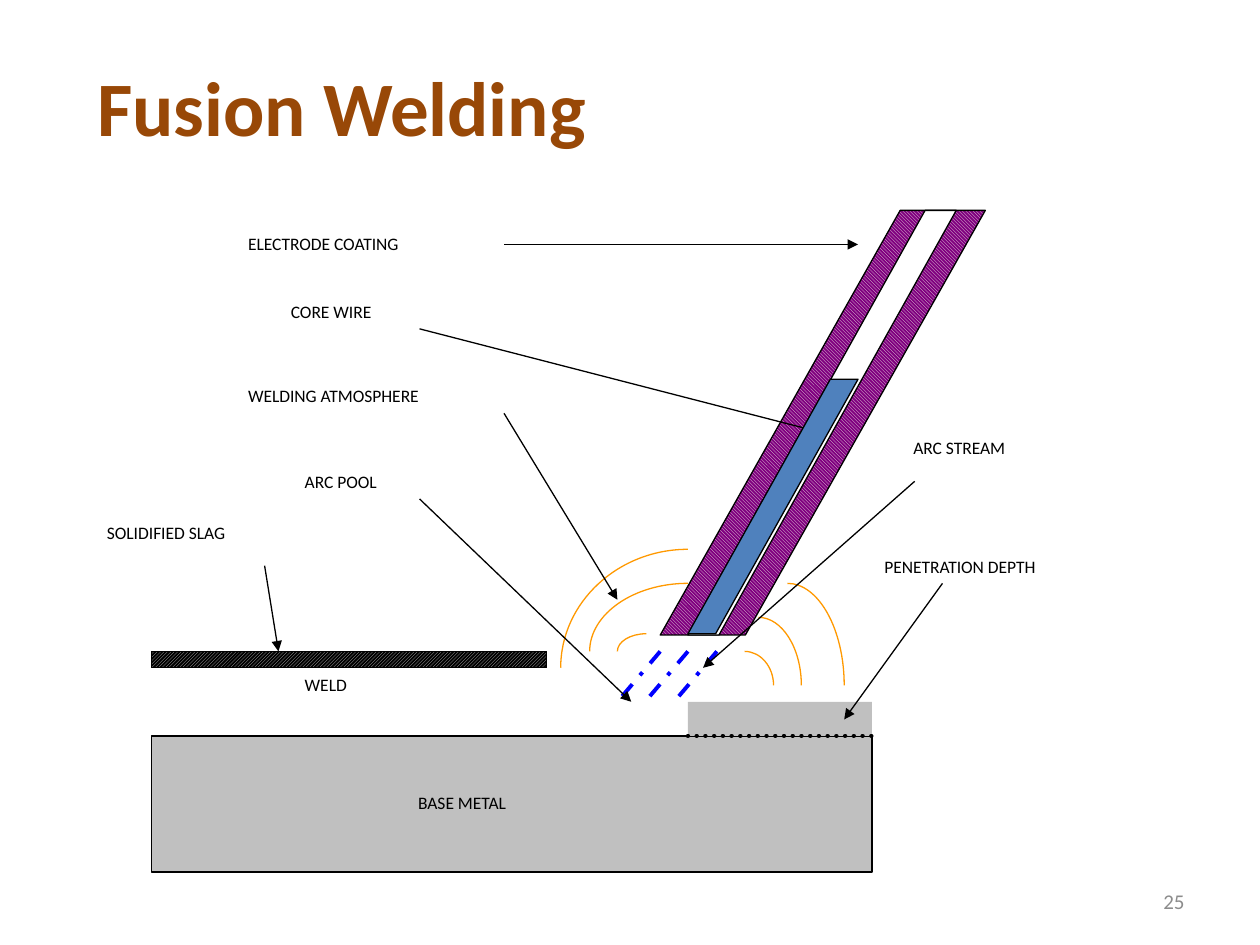
from lxml import etree
from pptx import Presentation
from pptx.dml.color import RGBColor
from pptx.enum.dml import MSO_LINE, MSO_PATTERN
from pptx.enum.shapes import MSO_CONNECTOR, MSO_SHAPE
from pptx.enum.text import MSO_ANCHOR, PP_ALIGN
from pptx.oxml.ns import qn
from pptx.util import Inches, Pt

RECT, SLANT = MSO_SHAPE.RECTANGLE, MSO_SHAPE.PARALLELOGRAM
DOWN, UP = MSO_PATTERN.DARK_DOWNWARD_DIAGONAL, MSO_PATTERN.DARK_UPWARD_DIAGONAL
DOTS, DASH_DOT = MSO_LINE.ROUND_DOT, MSO_LINE.DASH_DOT
STRAIGHT = MSO_CONNECTOR.STRAIGHT
TOP, MIDDLE = MSO_ANCHOR.TOP, MSO_ANCHOR.MIDDLE
LEFT, RIGHT = PP_ALIGN.LEFT, PP_ALIGN.RIGHT
ROUNDNESS = 0.55  # Bezier handle length for a quarter ellipse

THEME = dict(
    font="Calibri", title="984807", number="8C8C8C", ink="000000",
    metal="C0C0C0", bore="FFFFFF", core="4F81BD", coating="800080",
    hatch="EEECE1", gas="FF9900", arc="0000FF",
    title_size=44, number_size=12, label_size=10, thin=0.75,
)

# Content: labels as text, left, top, width, height
TITLE = "Fusion Welding"
LABELS = [
    ("BASE METAL", 3.22, 6.24, 3.25, 0.43),
    ("WELD", 2.32, 5.3, 2.02, 0.43),
    ("SOLIDIFIED SLAG", 0.75, 4.09, 2.02, 0.43),
    ("ARC POOL", 2.32, 3.69, 1.46, 0.43),
    ("WELDING ATMOSPHERE", 1.87, 3.01, 2.69, 0.43),
    ("CORE WIRE", 2.21, 2.34, 1.91, 0.43),
    ("ELECTRODE COATING", 1.87, 1.8, 2.81, 0.43),
    ("ARC STREAM", 7.15, 3.42, 2.02, 0.43),
    ("PENETRATION DEPTH", 6.92, 4.36, 2.13, 0.7),
]
# Pointers as x1, y1, x2, y2
POINTERS = [
    (4, 1.94, 6.81, 1.94), (3.33, 2.61, 6.47, 3.42), (4, 3.28, 4.9, 4.76),
    (3.33, 3.96, 5.01, 5.57), (2.1, 4.49, 2.21, 5.17),
    (7.48, 4.63, 6.7, 5.71), (7.26, 3.82, 5.58, 5.3),
]
# Gas arcs from crown to foot as x1, y1, x2, y2
GAS_ARCS = [
    (5.46, 4.36, 4.45, 5.3), (5.46, 4.63, 4.68, 5.17), (5.13, 5.03, 4.9, 5.17),
    (5.91, 5.17, 6.14, 5.44), (6.02, 4.9, 6.36, 5.44), (6.25, 4.63, 6.7, 5.44),
]
STREAM_LEFTS = [5.69, 5.46, 5.24]


def color(name):
    return RGBColor.from_string(THEME[name])


def set_line(line, name="ink", width=THEME["thin"], dash=None):
    line.color.rgb = color(name)
    line.width = Pt(width)
    if dash:
        line.dash_style = dash


def write(sp, text, size="label_size", ink="ink", bold=False, align=LEFT, anchor=TOP):
    tf = sp.text_frame
    tf.word_wrap = True
    tf.vertical_anchor = anchor
    p = tf.paragraphs[0]
    p.alignment = align
    r = p.add_run()
    r.text = text
    r.font.name, r.font.size, r.font.bold = THEME["font"], Pt(THEME[size]), bold
    r.font.color.rgb = color(ink)


def place(sp, *box):
    sp.left, sp.top, sp.width, sp.height = map(Inches, box)


def add_text(s, text, box, **fmt):
    write(s.shapes.add_textbox(*map(Inches, box)), text, **fmt)


def add_part(s, kind, box, fill, pattern=None, back=None, slant=None, outlined=True):
    sp = s.shapes.add_shape(kind, *map(Inches, box))
    sp.shadow.inherit = False
    if slant:
        sp.adjustments[0] = slant
    if pattern:
        sp.fill.patterned()
        sp.fill.pattern = pattern
        sp.fill.back_color.rgb = color(back)
    else:
        sp.fill.solid()
    sp.fill.fore_color.rgb = color(fill)
    if outlined:
        set_line(sp.line)
    else:
        sp.line.fill.background()


def add_line(s, ends, arrow=False, round_cap=False, **fmt):
    c = s.shapes.add_connector(STRAIGHT, *map(Inches, ends))
    set_line(c.line, **fmt)
    ln = c.line._get_or_add_ln()
    if round_cap:
        ln.set("cap", "rnd")
    if arrow:
        etree.SubElement(ln, qn("a:tailEnd"), type="triangle")
    etree.SubElement(c._element.spPr, qn("a:effectLst"))


def add_gas_arc(s, *ends):
    x1, y1, x2, y2 = map(Inches, ends)
    builder = s.shapes.build_freeform(x1, y1)
    builder.add_line_segments([(x2, y2)], close=False)
    sp = builder.convert_to_shape()
    sp.shadow.inherit = False
    sp.fill.background()
    set_line(sp.line, "gas")
    # Bend the segment into a quarter ellipse
    segment = next(sp._element.iter(qn("a:lnTo")))
    segment.tag = qn("a:cubicBezTo")
    handles = [(x1 + (x2 - x1) * ROUNDNESS, y1), (x2, y2 - (y2 - y1) * ROUNDNESS)]
    for i, (x, y) in enumerate(handles):
        pt = etree.Element(qn("a:pt"), x=str(round(x - sp.left)), y=str(round(y - sp.top)))
        segment.insert(i, pt)


def main():
    prs = Presentation()
    prs.slide_width, prs.slide_height = Inches(10), Inches(7.5)
    s = prs.slides.add_slide(prs.slide_layouts[5])

    # Title and slide number
    place(s.shapes.title, 0.67, 0.42, 8.5, 1.25)
    write(s.shapes.title, TITLE, size="title_size", ink="title", bold=True)
    add_text(s, "25", (7.17, 6.95, 2.33, 0.4), size="number_size", ink="number",
             align=RIGHT, anchor=MIDDLE)

    # Base metal, electrode and penetration zone
    add_part(s, RECT, (1.2, 5.84, 5.72, 1.08), "metal")
    add_part(s, SLANT, (5.24, 1.67, 2.58, 3.37), "hatch", DOWN, "coating", slant=0.738)
    add_part(s, SLANT, (5.46, 1.67, 2.13, 3.37), "bore", slant=0.884)
    add_part(s, RECT, (5.46, 5.57, 1.46, 0.27), "metal", outlined=False)
    add_line(s, (5.46, 5.84, 6.92, 5.84), width=2.5, dash=DOTS, round_cap=True)

    # Welding atmosphere and slag
    for arc in GAS_ARCS:
        add_gas_arc(s, *arc)
    add_part(s, RECT, (1.2, 5.17, 3.14, 0.13), "metal", UP, "ink")

    # Labels, arc stream and pointers
    for text, *box in LABELS:
        add_text(s, text, box)
    for x in STREAM_LEFTS:
        add_line(s, (x, 5.17, x - 0.34, 5.57), name="arc", width=2.25, dash=DASH_DOT)
    for ends in POINTERS:
        add_line(s, ends, arrow=True)

    # Core wire covers the tip of its pointer
    add_part(s, SLANT, (5.46, 3.01, 1.35, 2.02), "core", slant=0.837)

    prs.save("out.pptx")


if __name__ == "__main__":
    main()
